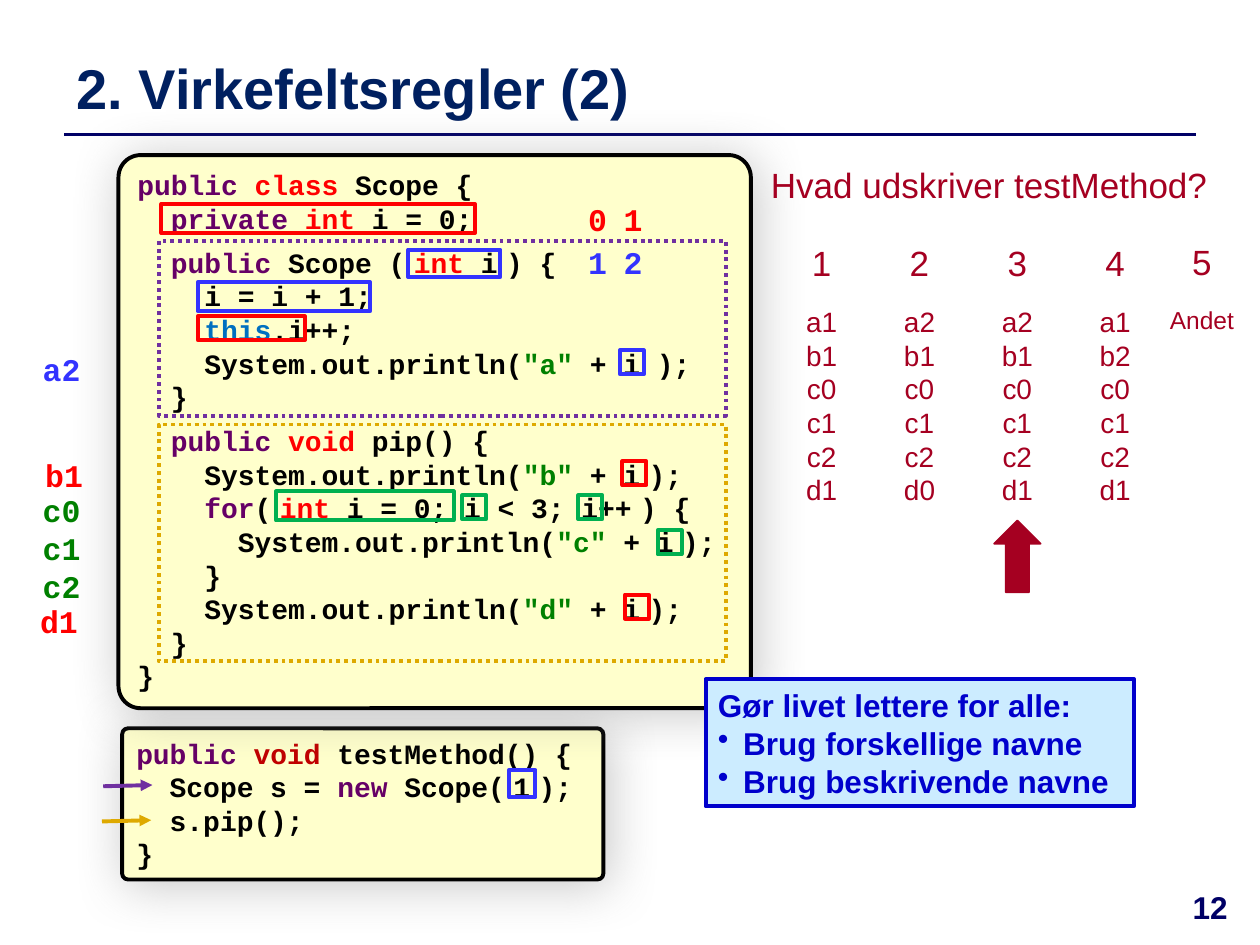
"""Build the slide on scope rules for variables."""
import dataclasses
import typing

import lxml.etree
import pptx
import pptx.dml.color
import pptx.enum.dml
import pptx.enum.shapes
import pptx.enum.text
import pptx.oxml.ns
import pptx.util

Pt = pptx.util.Pt
SHAPE = pptx.enum.shapes.MSO_SHAPE
ALIGN = pptx.enum.text.PP_ALIGN
ANCHOR = pptx.enum.text.MSO_ANCHOR


@dataclasses.dataclass(frozen=True)
class Theme:
    sans: str = "Arial"
    mono: str = "Courier New"
    title: str = "002060"
    navy: str = "000066"
    black: str = "000000"
    keyword: str = "660066"
    this: str = "0070C0"
    string: str = "008000"
    red: str = "FF0000"
    dark_red: str = "C00000"
    blue: str = "3333FF"
    green: str = "00B050"
    purple: str = "7030A0"
    gold: str = "DEA900"
    crimson: str = "A50021"
    paper: str = "FFFFCC"
    note_fill: str = "CCECFF"
    note: str = "0000CC"
    shadow: str = "808080"
    title_size: float = 32
    head_size: float = 20
    label_size: float = 18
    code_size: float = 16
    small_size: float = 14
    gap_size: float = 8
    line: float = 2.25


T = Theme()


class Box(typing.NamedTuple):
    x: float
    y: float
    w: float
    h: float


class Run(typing.NamedTuple):
    text: str
    color: str = T.black
    size: float = T.code_size


class Para(typing.NamedTuple):
    runs: list[Run]
    before: float = 0


class Frame(typing.NamedTuple):
    box: Box
    color: str
    dotted: bool = False


class Label(typing.NamedTuple):
    x: float
    y: float
    lines: list[str]
    color: str


class Answer(typing.NamedTuple):
    number: str
    x: float
    lines: list[str]


def rgb(color: str) -> pptx.dml.color.RGBColor:
    return pptx.dml.color.RGBColor.from_string(color)


def sub(parent, tag: str, **attrs: str):
    return lxml.etree.SubElement(parent, pptx.oxml.ns.qn(tag), attrs)


def add_shape(s, kind, box: Box, line: str, fill: str | None = None, width: float = T.line):
    sp = s.shapes.add_shape(kind, *map(Pt, box))
    sp.shadow.inherit = False
    if fill:
        sp.fill.solid()
        sp.fill.fore_color.rgb = rgb(fill)
    else:
        sp.fill.background()
    sp.line.color.rgb = rgb(line)
    sp.line.width = Pt(width)
    return sp


def write(tf, paras: list[Para], font: str, bold: bool = False, align=ALIGN.LEFT) -> None:
    for i, para in enumerate(paras):
        p = tf.paragraphs[0] if i == 0 else tf.add_paragraph()
        p.alignment, p.space_before = align, Pt(para.before)
        p.font.name, p.font.bold = font, bold
        for run in para.runs:
            r = p.add_run()
            r.text = run.text
            r.font.size, r.font.color.rgb = Pt(run.size), rgb(run.color)


def add_text(s, box: Box, paras: list[Para], font: str = T.sans, bold: bool = False, align=ALIGN.LEFT):
    tf = s.shapes.add_textbox(*map(Pt, box)).text_frame
    tf.word_wrap = True
    write(tf, paras, font, bold, align)
    return tf


def add_code(s, box: Box, paras: list[Para]) -> None:
    sp = add_shape(s, SHAPE.ROUNDED_RECTANGLE, box, T.black, T.paper)
    sp.adjustments[0] = 0.04
    effects = sp._element.spPr.find(pptx.oxml.ns.qn("a:effectLst"))
    shadow = sub(effects, "a:outerShdw", blurRad=str(Pt(30)), dist=str(Pt(3)), dir="2700000")
    sub(sub(shadow, "a:srgbClr", val=T.shadow), "a:alpha", val="43000")
    sp.text_frame.word_wrap = True
    sp.text_frame.vertical_anchor = ANCHOR.TOP
    write(sp.text_frame, paras, T.mono, True)


def add_frame(s, frame: Frame) -> None:
    sp = add_shape(s, SHAPE.RECTANGLE, frame.box, frame.color)
    if frame.dotted:
        sp.line.dash_style = pptx.enum.dml.MSO_LINE.ROUND_DOT


def add_line(s, start: tuple, end: tuple, color: str, width: float, arrow: bool = False) -> None:
    line = s.shapes.add_connector(pptx.enum.shapes.MSO_CONNECTOR.STRAIGHT, *map(Pt, start + end))
    line.line.color.rgb, line.line.width = rgb(color), Pt(width)
    if arrow:
        sub(line.line._get_or_add_ln(), "a:tailEnd", type="triangle")
    sub(line._element.spPr, "a:effectLst")


def add_note(s, box: Box, heading: str, bullets: list[str]) -> None:
    tf = add_shape(s, SHAPE.RECTANGLE, box, T.note, T.note_fill).text_frame
    tf.word_wrap = True
    write(tf, [Para([Run(t, T.note, T.label_size)]) for t in [heading, *bullets]], T.sans, True)
    for p in tf.paragraphs[1:]:
        pPr = p._p.get_or_add_pPr()
        pPr.set("marL", str(Pt(14.4)))
        pPr.set("indent", str(-Pt(14.4)))
        bullet = pptx.oxml.ns.qn("a:buChar")
        pPr.insert_element_before(lxml.etree.Element(bullet, char="•"), "a:tabLst", "a:defRPr", "a:extLst")


def println(indent: str, letter: str, gap: Run) -> Para:
    return Para([Run(f"{indent}System.out.println("), Run(f'"{letter}" ', T.string), Run("+ i"), gap, Run(");")])


GAP = Run(" ", size=T.gap_size)
PUBLIC = Run("public ", T.keyword)
METHOD = Run("  public ", T.keyword)
INT = Run("int ", T.red)
CLASS_CODE = [
    Para([PUBLIC, Run("class ", T.red), Run("Scope {")]),
    Para([Run("  private ", T.keyword), INT, Run("i = 0;")]),
    Para([METHOD, Run("Scope ("), GAP, Run("int", T.red), Run(" i"), GAP, Run(") {")], 6),
    Para([Run("    i = i + 1;")]),
    Para([Run("    this", T.this), Run(".i++;")]),
    println("    ", "a", Run(" ")),
    Para([Run("  }")]),
    Para([METHOD, Run("void ", T.red), Run("pip() {")], 6),
    println("    ", "b", GAP),
    Para([Run("    for", T.keyword), Run("("), GAP, INT, Run("i = 0; i < 3; i++"), GAP, Run(") {")]),
    println("      ", "c", GAP),
    Para([Run("    }")]),
    println("    ", "d", GAP),
    Para([Run("  }")]),
    Para([Run("}")]),
]
TEST_CODE = [
    Para([PUBLIC, Run("void ", T.dark_red), Run("testMethod() {")]),
    Para([Run("  Scope s = "), Run("new ", T.keyword), Run("Scope("), GAP, Run("1"), GAP, Run(");")]),
    Para([Run("  s.pip();")]),
    Para([Run("}")]),
]
LABELS = [
    Label(17.3, 196.6, ["a2"], T.blue), Label(18.7, 257, ["b1"], T.red),
    Label(17.3, 277.2, ["c0", "c1", "c2"], T.string), Label(15.8, 340.6, ["d1"], T.red),
    Label(329, 110.9, ["0"], T.red), Label(349.2, 110.9, ["1"], T.red),
    Label(329, 135.4, ["1"], T.blue), Label(349.2, 135.4, ["2"], T.blue),
]
ANSWERS = [
    Answer(str(i + 1), 448.6 + 55.9 * i, text.split())
    for i, text in enumerate(["a1 b1 c0 c1 c2 d1", "a2 b1 c0 c1 c2 d0", "a2 b1 c0 c1 c2 d1", "a1 b2 c0 c1 c2 d1"])
]
SIDE = 13.7
FRAMES = [
    Frame(Box(233.3, 142.6, 52.6, 15.8), T.blue), Frame(Box(113, 161.3, 98.6, 16.6), T.blue),
    Frame(Box(92.2, 116.6, 179.3, 16.6), T.red), Frame(Box(113, 180.7, 61.2, 13.7), T.red),
    Frame(Box(157.7, 280.8, 101.5, 16.6), T.green), Frame(Box(290.9, 439.9, 15.1, 15.8), T.blue),
    *[Frame(Box(x, y, SIDE, SIDE), c) for x, y, c in [
        (354.2, 200.2, T.blue), (355.7, 263.5, T.red), (357.1, 339.8, T.red),
        (264.2, 283, T.green), (330.5, 283, T.green), (375.8, 303.1, T.green)]],
    Frame(Box(90.7, 137.5, 324, 100.1), T.purple, True),
    Frame(Box(90.7, 242.6, 324, 135.4), T.gold, True),
]


def main() -> None:
    prs = pptx.Presentation()
    prs.slide_width, prs.slide_height = Pt(720), Pt(540)
    s = prs.slides.add_slide(prs.slide_layouts[6])
    add_line(s, (36.7, 77), (683.3, 77), T.navy, 2)
    title = [Para([Run("2. Virkefeltsregler (2)", T.title, T.title_size)])]
    add_text(s, Box(36.7, 25.9, 646.6, 48.2), title, bold=True).vertical_anchor = ANCHOR.MIDDLE
    add_code(s, Box(69.8, 416.2, 275, 86.4), TEST_CODE)
    add_code(s, Box(67.7, 88.6, 361.4, 316.1), CLASS_CODE)
    for label in LABELS:
        paras = [Para([Run(t, label.color, T.label_size)]) for t in label.lines]
        tf = add_text(s, Box(label.x, label.y, 36.7, 28.8 + 23 * (len(paras) - 1)), paras, T.mono, True)
        tf.word_wrap = False
    question = [Para([Run("Hvad udskriver testMethod?", T.crimson, T.head_size)])]
    add_text(s, Box(433.4, 90, 270, 31.7), question)
    for a in ANSWERS:
        paras = [Para([Run(a.number, T.crimson, T.head_size)])]
        paras += [Para([Run(t, T.crimson)], 0 if i else 12) for i, t in enumerate(a.lines)]
        add_text(s, Box(a.x, 134.6, 41.8, 159.8), paras, align=ALIGN.CENTER)
    other = [Para([Run("5", T.crimson, T.head_size)]), Para([Run("Andet", T.crimson, T.small_size)], 13)]
    add_text(s, Box(656.6, 133.9, 60.5, 62.6), other, align=ALIGN.CENTER)
    add_shape(s, SHAPE.UP_ARROW, Box(568.1, 297.4, 26.6, 41), T.crimson, T.crimson, 1)
    for frame in FRAMES:
        add_frame(s, frame)
    add_line(s, (59, 449.3), (87.1, 448.6), T.purple, T.line, True)
    add_line(s, (58.3, 469.4), (86.4, 468.7), T.gold, T.line, True)
    add_note(s, Box(403.2, 388.1, 244.8, 72.7), "Gør livet lettere for alle:",
             ["Brug forskellige navne", "Brug beskrivende navne"])
    number = [Para([Run("12", T.navy, T.label_size)])]
    add_text(s, Box(663.1, 504, 56.9, 36), number, bold=True, align=ALIGN.CENTER)
    prs.save("out.pptx")


if __name__ == "__main__":
    main()
